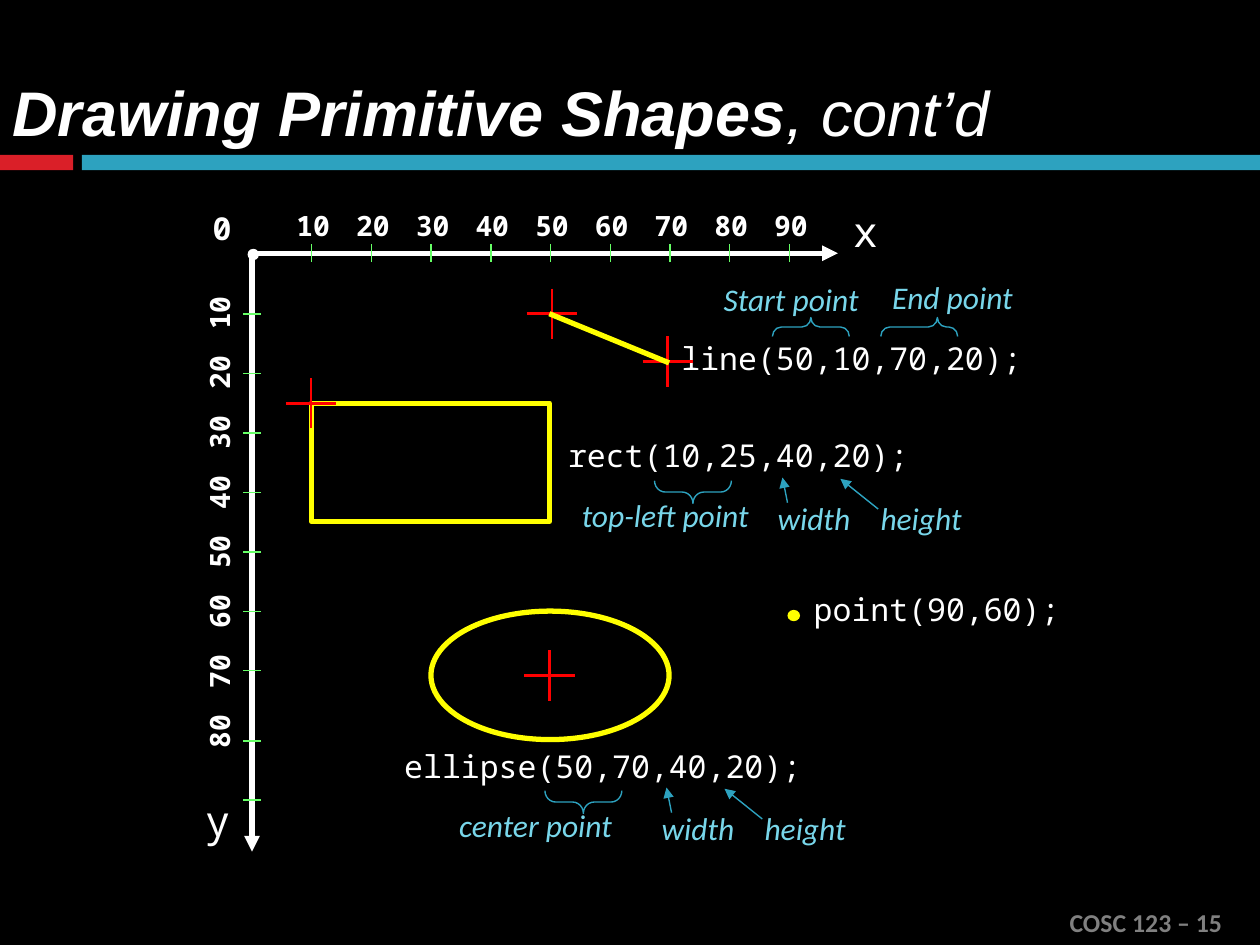
from lxml.etree import SubElement
from pptx import Presentation
from pptx.dml.color import RGBColor
from pptx.enum.shapes import MSO_CONNECTOR, MSO_SHAPE as SHAPE
from pptx.enum.text import MSO_ANCHOR, PP_ALIGN
from pptx.oxml.ns import qn
from pptx.util import Inches, Pt

BLACK = RGBColor(0x00, 0x00, 0x00)
WHITE = RGBColor(0xFF, 0xFF, 0xFF)
GRAY = RGBColor(0x80, 0x80, 0x80)
RED = RGBColor(0xFF, 0x00, 0x00)
CRIMSON = RGBColor(0xDA, 0x1F, 0x28)
TEAL = RGBColor(0x2D, 0xA2, 0xBF)
AQUA = RGBColor(0x78, 0xD6, 0xEA)
GREEN = RGBColor(0x66, 0xFF, 0x66)
YELLOW = RGBColor(0xFF, 0xFF, 0x00)

MONO = "Noto Sans Mono"
CODE = dict(name=MONO, size=Pt(18))
AXIS_NAME = dict(name=MONO, size=Pt(24))
SCALE = dict(name=MONO, size=Pt(16), bold=True)
NOTE = dict(name="Calibri", size=Pt(18), italic=True)
TITLE = dict(name="Arial", size=Pt(36), italic=True)
FOOTER = dict(name="Calibri", size=Pt(14.7), bold=True)

ORIGIN_X, ORIGIN_Y = 2, 2.01
STEP = 0.474  # inches between two scale marks
THIN = 0.79


def inches(*values):
    return [Inches(v) for v in values]


def add_run(p, text, font, color):
    r = p.add_run()
    r.text = text
    for name, value in font.items():
        setattr(r.font, name, value)
    r.font.color.rgb = color


def add_text(s, box, text, font, color=WHITE, wrap=True, align=PP_ALIGN.LEFT):
    tb = s.shapes.add_textbox(*inches(*box))
    tb.text_frame.word_wrap = wrap
    p = tb.text_frame.paragraphs[0]
    p.alignment = align
    add_run(p, text, font, color)
    return tb


def add_note(s, box, text):
    add_text(s, box, text, NOTE, AQUA, align=PP_ALIGN.CENTER)


def add_figure(s, kind, box, fill=None, line=None, width=3):
    sp = s.shapes.add_shape(kind, *inches(*box))
    sp.shadow.inherit = False
    if fill is None:
        sp.fill.background()
    else:
        sp.fill.solid()
        sp.fill.fore_color.rgb = fill
    if line is None:
        sp.line.fill.background()
    else:
        sp.line.color.rgb = line
        sp.line.width = Pt(width)
    return sp


def add_line(s, start, end, color, width, arrow=False):
    c = s.shapes.add_connector(MSO_CONNECTOR.STRAIGHT, *inches(*start, *end))
    c.line.color.rgb = color
    c.line.width = Pt(width)
    if arrow:
        SubElement(c.line._get_or_add_ln(), qn("a:tailEnd"), type="triangle")
    SubElement(c._element.spPr, qn("a:effectLst"))


def add_brace(s, box, rotation, tip=0.5):
    sp = add_figure(s, SHAPE.LEFT_BRACE, box, line=TEAL, width=THIN)
    sp.rotation = rotation
    sp.adjustments[0], sp.adjustments[1] = 0.472, tip


def add_cross(s, x, y, arm=0.2):
    add_line(s, (x - arm, y), (x + arm, y), RED, 1.5)
    add_line(s, (x, y - arm), (x, y + arm), RED, 1.5)


def add_scale(s, box, text, rotation=0):
    """Place tab-separated scale numbers on evenly spaced tab stops."""
    tb = add_text(s, box, text, SCALE, wrap=False)
    tb.rotation = rotation
    pPr = tb.text_frame.paragraphs[0]._p.get_or_add_pPr()
    tabs = SubElement(pPr, qn("a:tabLst"))
    for i in range(1, text.count("\t") + 1):
        SubElement(tabs, qn("a:tab"), pos=str(Inches(STEP * i)), algn="l")


def add_header(s):
    add_figure(s, SHAPE.RECTANGLE, (0, 1.23, 0.58, 0.12), CRIMSON)
    add_figure(s, SHAPE.RECTANGLE, (0.65, 1.23, 9.35, 0.12), TEAL)
    tb = add_text(s, (0, 0.17, 10, 1.06), "Drawing Primitive Shapes",
                  dict(TITLE, bold=True))
    tb.text_frame.vertical_anchor = MSO_ANCHOR.BOTTOM
    add_run(tb.text_frame.paragraphs[0], ", cont’d", dict(TITLE, bold=False), WHITE)


def add_axes(s):
    add_line(s, (ORIGIN_X, ORIGIN_Y), (ORIGIN_X, 6.76), WHITE, 3, arrow=True)
    add_line(s, (ORIGIN_X, ORIGIN_Y), (6.65, ORIGIN_Y), WHITE, 3, arrow=True)
    add_text(s, (1.53, 6.26, 0.39, 0.5), "y", AXIS_NAME, wrap=False)
    add_text(s, (6.67, 1.58, 0.5, 0.5), "x", AXIS_NAME, wrap=False)
    add_figure(s, SHAPE.OVAL, (1.97, 1.98, 0.08, 0.08), WHITE, WHITE, 0.75)
    for i in range(1, 10):
        x = ORIGIN_X + STEP * i
        add_line(s, (x, 2.08), (x, 1.94), GREEN, THIN)
    for y in [2.02 + 0.472 * i for i in range(1, 8)] + [5.88, 6.35]:
        add_line(s, (1.93, y), (2.07, y), GREEN, THIN)
    numbers = [str(n) for n in range(10, 100, 10)]
    add_scale(s, (1.78, 1.61, 4.76, 0.37), "\t" + "\t".join(numbers))
    add_scale(s, (-0.16, 3.95, 3.8, 0.37), "\t".join(numbers[-2::-1]), 270)
    add_text(s, (1.59, 1.61, 0.34, 0.4), "0", dict(CODE, bold=True), wrap=False)


def add_size_notes(s, top, point, point_x, brace_x, width_x):
    """Explain the arguments of a call: a point, then width and height."""
    add_note(s, (point_x, top, 1.62, 0.4), point)
    add_note(s, (width_x, top + 0.02, 1.22, 0.4), "width")
    add_note(s, (width_x + 0.85, top + 0.02, 1.22, 0.4), "height")
    add_line(s, (width_x + 0.4, top + 0.1), (width_x + 0.36, top - 0.1),
             TEAL, THIN, arrow=True)
    add_line(s, (width_x + 1.12, top + 0.15), (width_x + 0.82, top - 0.09),
             TEAL, THIN, arrow=True)
    add_brace(s, (brace_x, top - 0.29, 0.18, 0.61), 270)


def add_line_example(s):
    add_text(s, (5.31, 2.64, 3.62, 0.4), "line(50,10,70,20);", CODE)
    add_note(s, (5.55, 2.17, 1.46, 0.4), "Start point")
    add_note(s, (6.83, 2.16, 1.46, 0.4), "End point")
    add_brace(s, (6.36, 2.29, 0.15, 0.61), 90)
    add_brace(s, (7.22, 2.29, 0.15, 0.61), 90, tip=0.264)
    add_cross(s, 4.38, 2.49)
    add_cross(s, 5.3, 2.87)
    add_line(s, (4.36, 2.49), (5.31, 2.88), YELLOW, 3)


def add_rect_example(s):
    add_figure(s, SHAPE.RECTANGLE, (2.47, 3.2, 1.89, 0.94), line=YELLOW)
    add_text(s, (4.41, 3.41, 5.28, 0.4), "rect(10,25,40,20);", CODE)
    add_size_notes(s, 3.89, "top-left point", 4.47, 5.41, 5.85)
    add_cross(s, 2.47, 3.2)


def add_point_example(s):
    add_figure(s, SHAPE.OVAL, (6.25, 4.84, 0.1, 0.09), YELLOW)
    add_text(s, (6.36, 4.63, 3.62, 0.4), "point(90,60);", CODE)


def add_ellipse_example(s):
    add_figure(s, SHAPE.OVAL, (3.42, 4.85, 1.89, 1.02), line=YELLOW)
    add_text(s, (3.11, 5.88, 5.28, 0.4), "ellipse(50,70,40,20);", CODE)
    add_size_notes(s, 6.35, "center point", 3.44, 4.54, 4.93)
    add_cross(s, 4.36, 5.36)


def main():
    prs = Presentation()
    prs.slide_width, prs.slide_height = inches(10, 7.5)
    s = prs.slides.add_slide(prs.slide_layouts[6])
    s.background.fill.solid()
    s.background.fill.fore_color.rgb = BLACK
    add_header(s)
    add_axes(s)
    add_line_example(s)
    add_rect_example(s)
    add_point_example(s)
    add_ellipse_example(s)
    add_text(s, (8.39, 7.15, 1.6, 0.35), "COSC 123 – 15", FOOTER, GRAY)
    prs.save("out.pptx")


if __name__ == "__main__":
    main()
